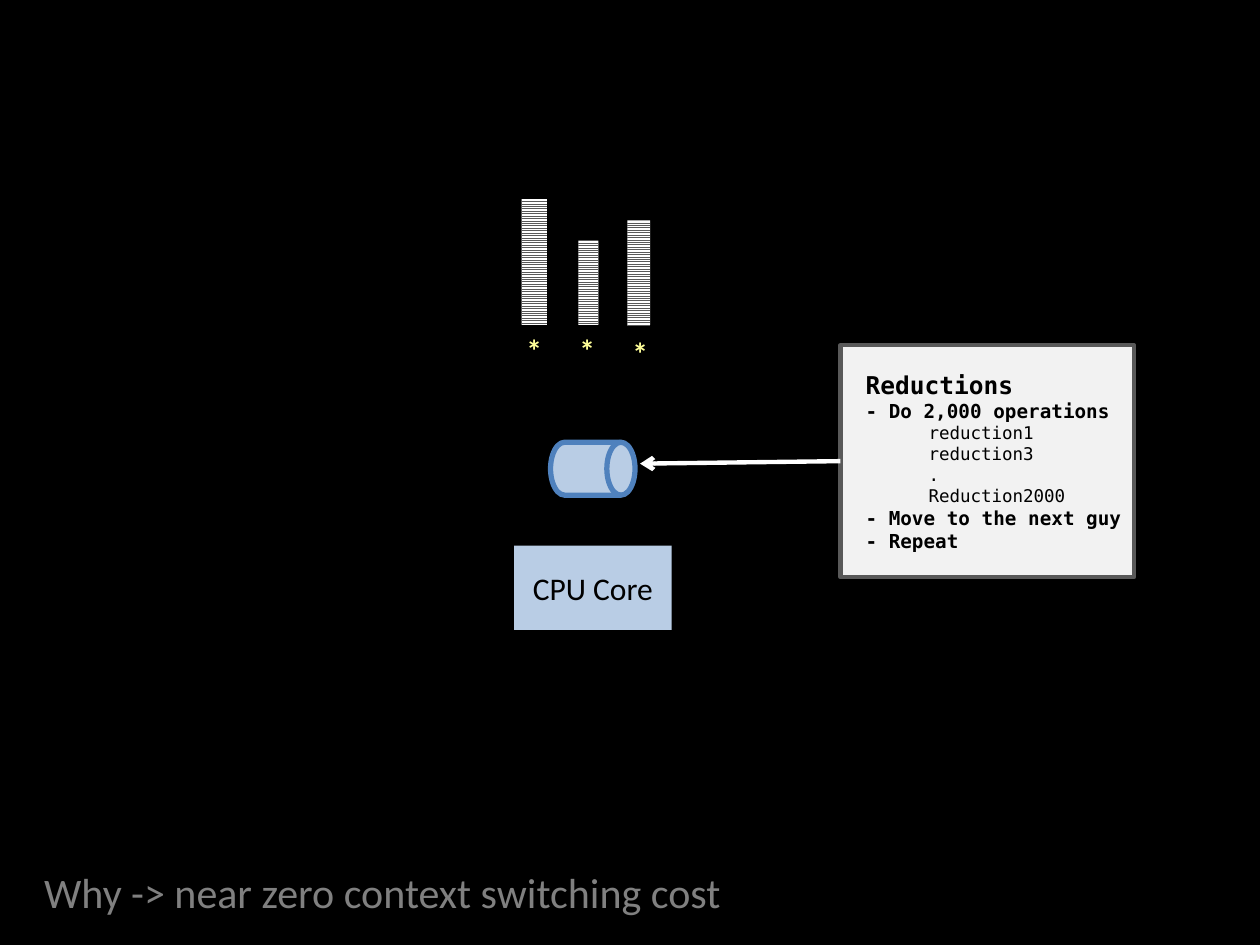
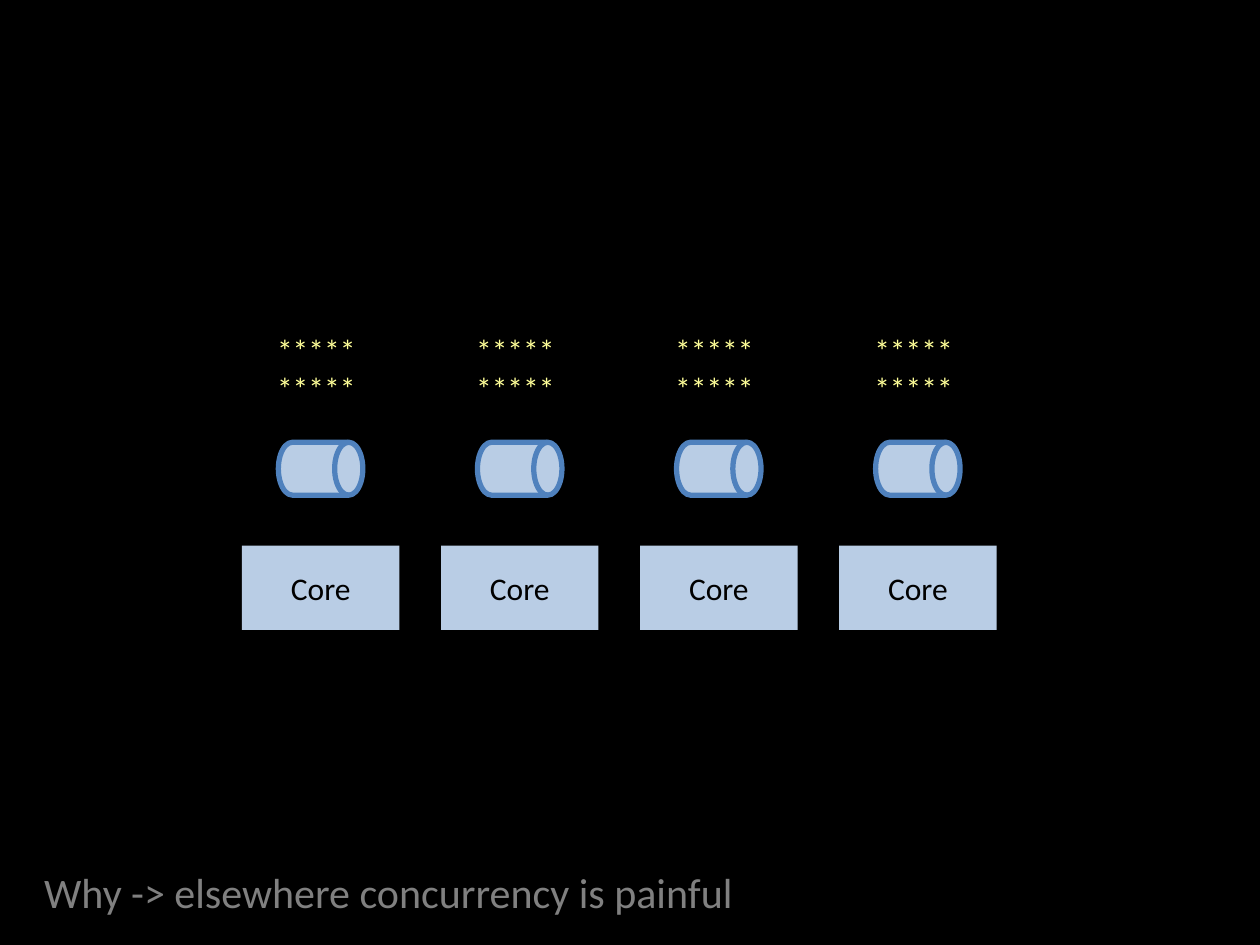
from dataclasses import dataclass

from lxml import etree
from pptx import Presentation
from pptx.dml.color import RGBColor
from pptx.enum.dml import MSO_PATTERN
from pptx.enum.shapes import MSO_CONNECTOR, MSO_SHAPE
from pptx.enum.text import MSO_ANCHOR, MSO_AUTO_SIZE, PP_ALIGN
from pptx.oxml.ns import qn
from pptx.util import Inches, Pt

RECTANGLE = MSO_SHAPE.RECTANGLE
PROCESS = MSO_SHAPE.FLOWCHART_PROCESS
DRUM = MSO_SHAPE.FLOWCHART_DIRECT_ACCESS_STORAGE
STRAIGHT = MSO_CONNECTOR.STRAIGHT
STRIPES = MSO_PATTERN.LIGHT_HORIZONTAL
LEFT, CENTER = PP_ALIGN.LEFT, PP_ALIGN.CENTER
TOP, MIDDLE = MSO_ANCHOR.TOP, MSO_ANCHOR.MIDDLE
FIT_SHAPE = MSO_AUTO_SIZE.SHAPE_TO_FIT_TEXT
LEFT_SIDE = 1


@dataclass(frozen=True)
class Theme:
    background: str = "000000"
    title: str = "808080"
    core: str = "B9CDE5"
    drum_edge: str = "4F81BD"
    process: str = "FFFF99"
    note: str = "F2F2F2"
    dark_gray: str = "595959"
    white: str = "FFFFFF"
    ink: str = "000000"
    body_font: str = "Calibri"
    code_font: str = "DejaVu Sans Mono"
    title_size: float = 24
    body_size: float = 18
    heading_size: float = 14
    step_size: float = 11
    detail_size: float = 10


THEME = Theme()

CORE_TOP, CORE_WIDTH, CORE_HEIGHT = 4.33, 1.25, 0.67
DRUM_TOP, DRUM_WIDTH, DRUM_HEIGHT = 3.51, 0.67, 0.42
QUEUE_BASE = 2.58
CORE_COUNT, FIRST_CORE, CORE_PITCH = 4, 1.92, 1.58

HEADING = dict(size=THEME.heading_size, bold=True)
STEP = dict(size=THEME.step_size, bold=True)
DETAIL = dict(size=THEME.detail_size, level=1, indent=0.5)
REDUCTION_STEPS = [
    ("Reductions", HEADING),
    ("- Do 2,000 operations", STEP),
    ("reduction1\nreduction3\n.\nReduction2000", DETAIL),
    ("- Move to the next guy\n- Repeat", STEP),
]


def rgb(color):
    return RGBColor.from_string(color)


def write_text(frame, text, *, size=THEME.body_size, color=THEME.ink,
               font=THEME.body_font, bold=False, align=LEFT, level=0, indent=0):
    for line in text.split("\n"):
        paragraph = frame.paragraphs[-1]
        if paragraph.runs:
            paragraph = frame.add_paragraph()
        paragraph.alignment = align
        paragraph.level = level
        if indent:
            properties = paragraph._p.get_or_add_pPr()
            properties.set("marL", str(Inches(indent)))
            properties.set("indent", "0")
        run = paragraph.add_run()
        run.text = line
        run.font.name = font
        run.font.size = Pt(size)
        run.font.bold = bold
        run.font.color.rgb = rgb(color)


def add_block(shapes, kind, left, top, width, height, fill, edge=None, edge_width=0):
    block = shapes.add_shape(kind, Inches(left), Inches(top), Inches(width), Inches(height))
    block.shadow.inherit = False
    block.fill.solid()
    block.fill.fore_color.rgb = rgb(fill)
    if edge:
        block.line.color.rgb = rgb(edge)
        block.line.width = Pt(edge_width)
    else:
        block.line.fill.background()
    block.text_frame.vertical_anchor = MIDDLE
    return block


def add_core(slide, left, label):
    core = add_block(slide.shapes, RECTANGLE, left, CORE_TOP, CORE_WIDTH, CORE_HEIGHT,
                     THEME.core)
    write_text(core.text_frame, label, align=CENTER)
    drum_left = left + (CORE_WIDTH - DRUM_WIDTH) / 2
    add_block(slide.shapes, DRUM, drum_left, DRUM_TOP, DRUM_WIDTH, DRUM_HEIGHT,
              THEME.core, THEME.drum_edge, 3)


def add_processes(slide, left, top, width, height, stars, bold=False):
    processes = slide.shapes.add_textbox(Inches(left), Inches(top),
                                         Inches(width), Inches(height))
    frame = processes.text_frame
    frame.word_wrap = False
    frame.auto_size = FIT_SHAPE
    write_text(frame, stars, color=THEME.process, bold=bold)


def add_stack(slide, left, width, height):
    stack = add_block(slide.shapes, RECTANGLE, left, QUEUE_BASE - height, width, height,
                      THEME.white)
    stack.fill.patterned()
    stack.fill.pattern = STRIPES
    stack.fill.fore_color.rgb = rgb(THEME.dark_gray)
    stack.fill.back_color.rgb = rgb(THEME.white)


def add_arrow(shapes, source, side, end_x, end_y):
    arrow = shapes.add_connector(STRAIGHT, source.left, source.top,
                                 Inches(end_x), Inches(end_y))
    arrow.begin_connect(source, side)
    arrow.line.color.rgb = rgb(THEME.white)
    arrow.line.width = Pt(2.5)
    etree.SubElement(arrow.line._get_or_add_ln(), qn("a:tailEnd"), type="arrow")
    etree.SubElement(arrow._element.spPr, qn("a:effectLst"))


def add_reductions_note(slide):
    callout = slide.shapes.add_group_shape()
    note = add_block(callout.shapes, PROCESS, 6.67, 2.74, 2.33, 1.84,
                     THEME.note, THEME.dark_gray, 2.5)
    note.text_frame.margin_left = Inches(0.2)
    for text, style in REDUCTION_STEPS:
        write_text(note.text_frame, text, font=THEME.code_font, **style)
    add_arrow(callout.shapes, note, LEFT_SIDE, 5.08, 3.68)


def add_titled_slide(prs, text):
    slide = prs.slides.add_slide(prs.slide_layouts.get_by_name("Title Only"))
    title = slide.shapes.title
    title.left, title.top = Inches(0.25), Inches(6.83)
    title.width, title.height = Inches(9.5), Inches(0.5)
    frame = title.text_frame
    frame.word_wrap = True
    frame.auto_size = FIT_SHAPE
    frame.vertical_anchor = TOP
    write_text(frame, text, size=THEME.title_size, color=THEME.title)
    return slide


def build_context_switching(prs):
    slide = add_titled_slide(prs, "Why -> near zero context switching cost")
    core_left = 4.08
    add_core(slide, core_left, "CPU Core")
    add_reductions_note(slide)
    for index, top in enumerate((QUEUE_BASE, QUEUE_BASE, 2.6)):
        add_processes(slide, core_left + 0.42 * index, top, 0.34, 0.4, "*", bold=True)
    for left, width, height in ((4.14, 0.2, 1), (4.59, 0.16, 0.67), (4.98, 0.18, 0.83)):
        add_stack(slide, left, width, height)


def build_concurrency(prs):
    slide = add_titled_slide(prs, "Why -> elsewhere concurrency is painful")
    for index in range(CORE_COUNT):
        left = FIRST_CORE + CORE_PITCH * index
        add_core(slide, left, "Core")
        add_processes(slide, left + 0.18, QUEUE_BASE, 0.88, 0.71, "*****\n*****")


def main():
    prs = Presentation()
    prs.slide_width, prs.slide_height = Inches(10), Inches(7.5)
    backdrop = prs.slide_master.background.fill
    backdrop.solid()
    backdrop.fore_color.rgb = rgb(THEME.background)
    build_context_switching(prs)
    build_concurrency(prs)
    prs.save("out.pptx")


if __name__ == "__main__":
    main()
